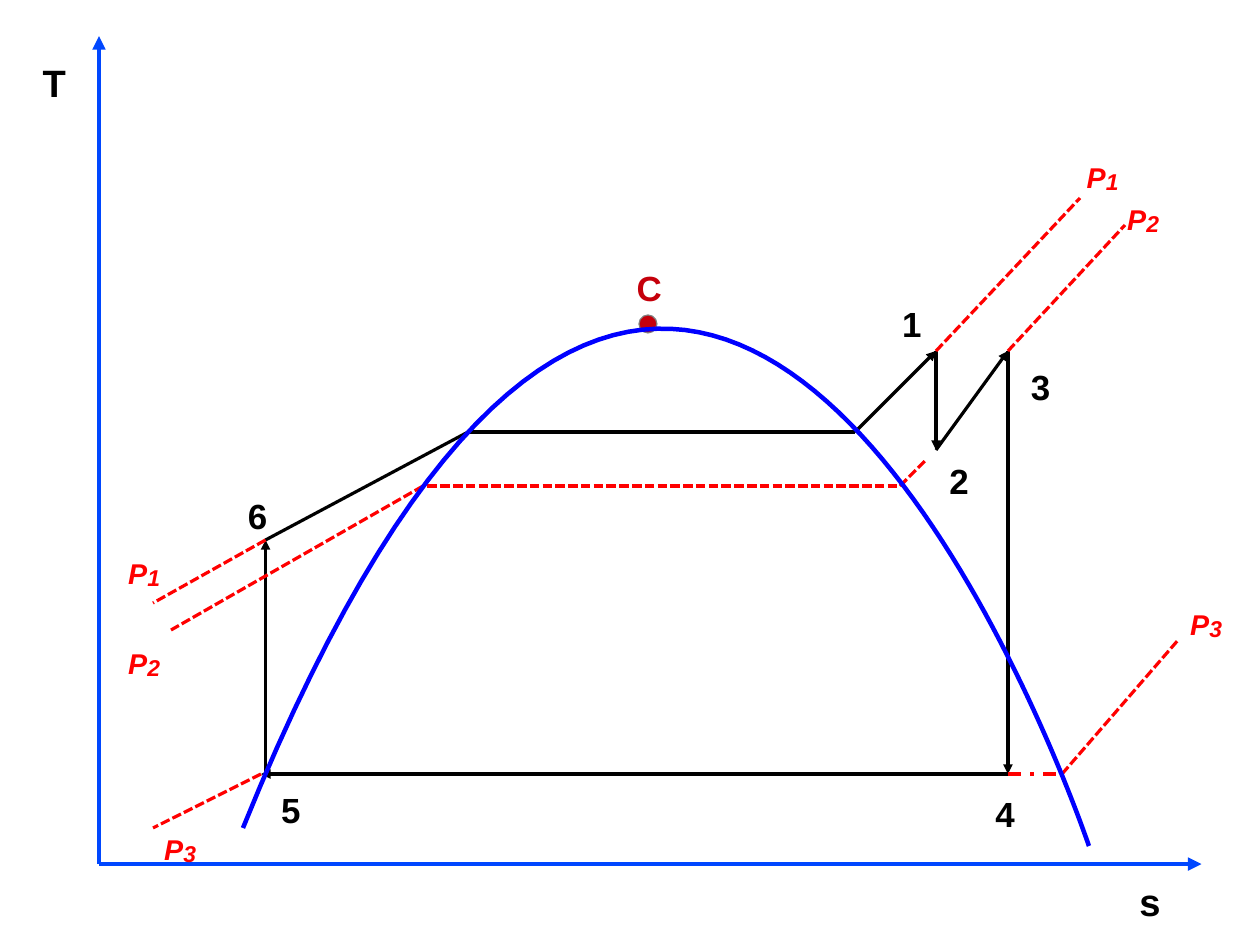
"""Draw a temperature-entropy diagram of a steam cycle on a 28 by 21 grid."""
from lxml import etree
from pptx import Presentation
from pptx.dml.color import RGBColor
from pptx.enum.dml import MSO_LINE
from pptx.enum.shapes import MSO_CONNECTOR, MSO_SHAPE
from pptx.enum.text import MSO_AUTO_SIZE
from pptx.oxml.ns import qn
from pptx.util import Cm, Pt

STRAIGHT = MSO_CONNECTOR.STRAIGHT
OVAL = MSO_SHAPE.OVAL
DASH, DASH_DOT = MSO_LINE.SQUARE_DOT, MSO_LINE.DASH_DOT
FIT = MSO_AUTO_SIZE.SHAPE_TO_FIT_TEXT
COLORS = {"axis": "0047FF", "curve": "0000FF", "cycle": "000000", "isobar": "FF0000",
          "critical": "C5000B", "rim": "808080"}
RGB = {name: RGBColor.from_string(value) for name, value in COLORS.items()}
COLS, ROWS = 28, 21
STEPS = 80

prs = Presentation()
prs.slide_width, prs.slide_height = Cm(COLS), Cm(ROWS)
s = prs.slides.add_slide(prs.slide_layouts[6])


def add_line(start, end, color, width=0, arrow=False, dash=None):
    c = s.shapes.add_connector(STRAIGHT, *[Cm(v) for v in start + end])
    c.line.color.rgb = RGB[color]
    c.line.width = Pt(width)
    if dash:
        c.line.dash_style = dash
    if arrow:
        etree.SubElement(c.line._get_or_add_ln(), qn("a:tailEnd"), type="triangle")
    etree.SubElement(c._element.spPr, qn("a:effectLst"))


def add_label(text, x, y, w, h, size, color, subscript=""):
    tf = s.shapes.add_textbox(Cm(x), Cm(y), Cm(w), Cm(h)).text_frame
    tf.word_wrap = False
    tf.auto_size = FIT
    p = tf.paragraphs[0]
    for part, pt in ((text, size), (subscript, 24.8)):
        if part:
            r = p.add_run()
            r.text = part
            r.font.name = "Arial"
            r.font.size = Pt(pt)
            r.font.bold = True
            r.font.italic = True if subscript else None
            r.font.color.rgb = RGB[color]
    if subscript:
        r.font._element.set("baseline", "-4000")


origin = (2.2, 19.2)
for end in ((2.2, 0.8), (26.7, 19.2)):
    add_line(origin, end, "axis", 2.83, arrow=True)
add_label("T", 0.7, 1.2, 1.02, 1.2, 24, "cycle")
add_label("s", 25.07, 19.4, 0.97, 1.2, 24, "cycle")

state1, state2, state3 = (20.8, 7.8), (20.8, 10), (22.4, 7.8)
state4, state5, state6 = (22.4, 17.2), (5.8, 17.2), (5.9, 12)
boil_start, boil_end = (10.4, 9.6), (19, 9.6)
reheat_sat, wet_end = (20, 10.8), (23.6, 17.2)

for start, end in ((boil_start, boil_end), (boil_start, state6)):
    add_line(start, end, "cycle")
for start, end in ((boil_end, state1), (state4, state5), ((5.9, 17.2), state6),
                   (state1, state2), (state2, state3), (state3, state4)):
    add_line(start, end, "cycle", arrow=True)
for start, end in ((state5, (3.4, 18.4)), ((9.4, 10.8), (3.8, 14)),
                   (wet_end, (26.2, 14.2)), (state1, (24, 4.4)),
                   (state6, (3.4, 13.4)), ((9.5, 10.8), reheat_sat),
                   (state3, (25, 5)), (reheat_sat, (20.6, 10.2))):
    add_line(start, end, "isobar", dash=DASH)
add_line(state4, wet_end, "isobar", dash=DASH_DOT)

sp = s.shapes.add_shape(OVAL, Cm(14.2), Cm(7), Cm(0.4), Cm(0.4))
sp.shadow.inherit = False
sp.fill.solid()
sp.fill.fore_color.rgb = RGB["critical"]
sp.line.color.rgb = RGB["rim"]
sp.line.width = Pt(0)
add_label("C", 13.9, 5.8, 1.07, 1.12, 22, "critical")

left, control, right = (5.4, 18.4), (15.6, -6.8), (24.2, 18.8)
dome = []
for i in range(STEPS + 1):
    t = i / STEPS
    u = 1 - t
    dome.append([Cm(u**3 * a + 3 * u**2 * t * b + (3 * u * t**2 + t**3) * c)
                 for a, b, c in zip(left, control, right)])
fb = s.shapes.build_freeform(*dome[0])
fb.add_line_segments(dome[1:], close=False)
sp = fb.convert_to_shape()
sp.shadow.inherit = False
sp.fill.background()
sp.line.color.rgb = RGB["curve"]
sp.line.width = Pt(2.83)

for number, x, y in (("1", 19.8, 6.6), ("2", 20.85, 10.08), ("3", 22.66, 8),
                     ("4", 21.87, 17.48), ("5", 6, 17.4), ("6", 5.26, 10.87)):
    add_label(number, x, y, 0.94, 1.12, 22, "cycle")
for number, x, y in (("1", 23.9, 3.2), ("2", 24.8, 4.13), ("3", 26.2, 13.13),
                     ("1", 2.6, 12), ("2", 2.6, 14), ("3", 3.4, 18.13)):
    add_label("P", x, y, 1.22, 1.07, 18, "isobar", subscript=number)

prs.save("out.pptx")
